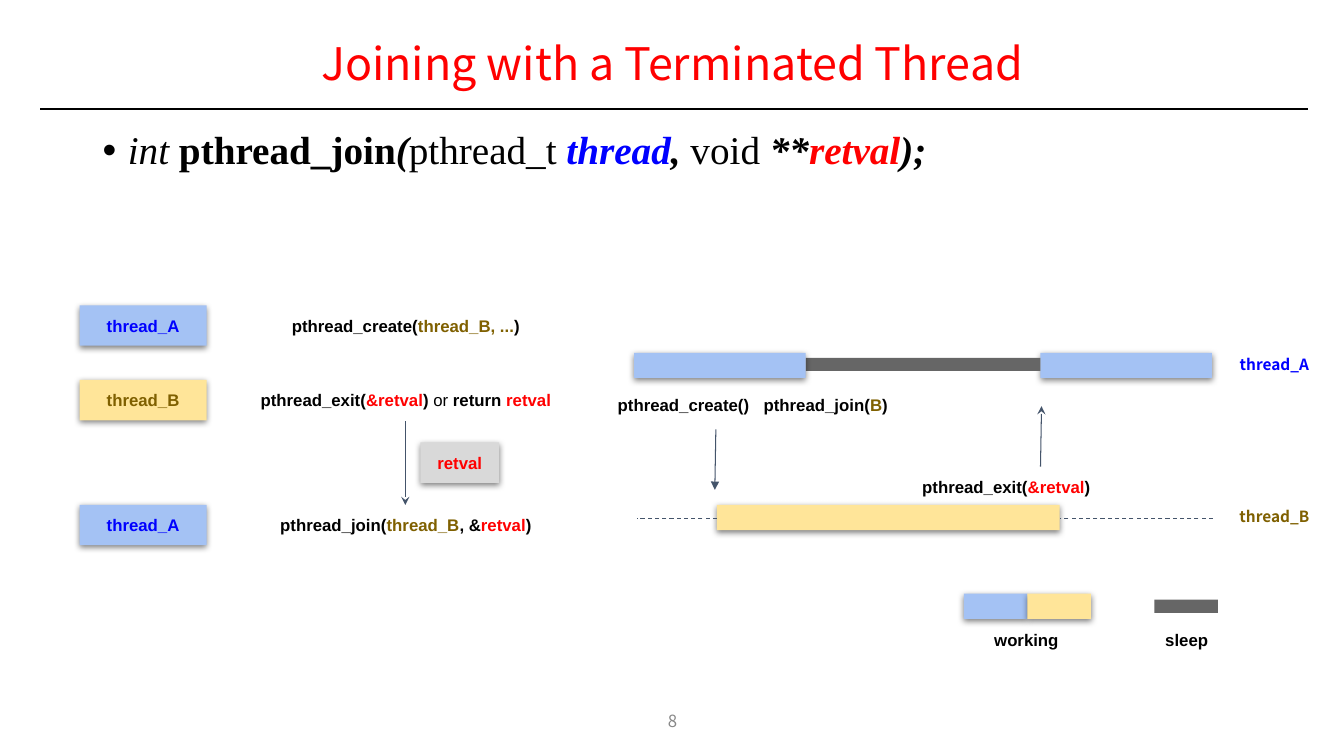
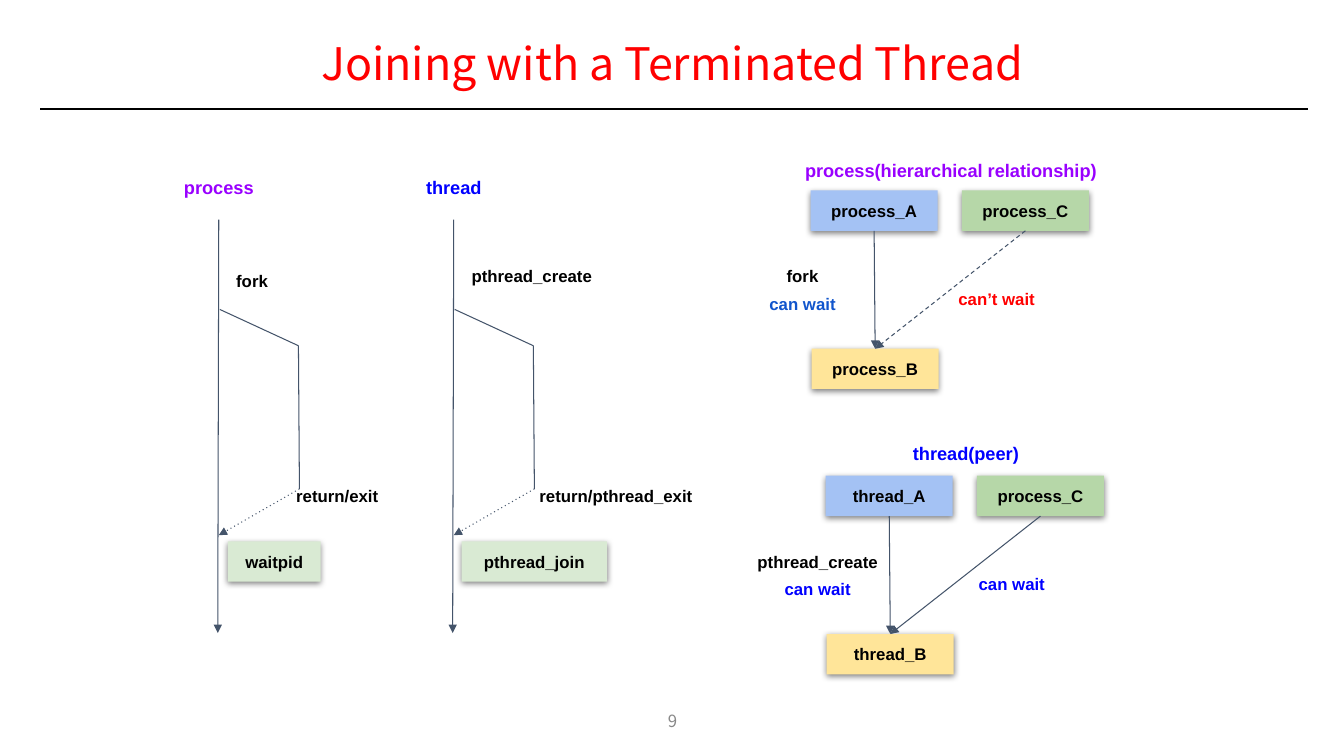
import lxml.etree
import pptx
import pptx.dml.color
import pptx.enum.shapes
import pptx.enum.text
import pptx.oxml.ns
import pptx.util

Inches = pptx.util.Inches
qn = pptx.oxml.ns.qn
Align = pptx.enum.text.PP_ALIGN
Anchor = pptx.enum.text.MSO_ANCHOR

COLOURS = {
    "black": "000000", "red": "FF0000", "blue": "0000FF", "link blue": "1155CC",
    "purple": "9900FF", "olive": "7F6000", "slate": "44546A", "page grey": "888888",
    "light blue": "A4C2F4", "light yellow": "FFE599", "light green": "B6D7A8",
    "pale green": "D9EAD3", "light grey": "D9D9D9", "dark grey": "666666",
}
RGB = {name: pptx.dml.color.RGBColor.from_string(value) for name, value in COLOURS.items()}

# Text styles
LABEL = {"name": "Arial", "size": pptx.util.Pt(12), "bold": True}
HEADING = {**LABEL, "size": pptx.util.Pt(13)}
LANE = {"name": "Noto Sans CJK KR", "size": pptx.util.Pt(11), "bold": True}
TITLE = {"name": "Noto Sans CJK KR", "size": pptx.util.Pt(32)}
PAGE = {"name": "Noto Sans CJK KR", "size": pptx.util.Pt(12)}
BODY = {"name": "Times New Roman", "size": pptx.util.Pt(28)}
PLAIN = {"bold": False}
ITALIC = {"italic": True}
BOLD = {"bold": True}
BOLD_ITALIC = {"bold": True, "italic": True}


def add_box(slide, at, *lines, fill=None, style=LABEL, margin=0.1, anchor=Anchor.TOP, shadow=True):
    """Add a text box, or a filled rectangle; each line lists (text, colour, overrides) runs."""
    place = [Inches(length) for length in at]
    if fill:
        shape = slide.shapes.add_shape(pptx.enum.shapes.MSO_SHAPE.RECTANGLE, *place)
        shape.fill.solid()
        shape.fill.fore_color.rgb = RGB[fill]
        shape.line.fill.background()
        shape.shadow.inherit = False
        if shadow:
            effects = shape.element.spPr.find(qn("a:effectLst"))
            outer = lxml.etree.SubElement(effects, qn("a:outerShdw"), blurRad="57150",
                                          dist="19050", dir="5400000", algn="bl", rotWithShape="0")
            colour = lxml.etree.SubElement(outer, qn("a:srgbClr"), val=COLOURS["black"])
            lxml.etree.SubElement(colour, qn("a:alpha"), val="50000")
    else:
        shape = slide.shapes.add_textbox(*place)
    frame = shape.text_frame
    settings = {"word_wrap": True, "vertical_anchor": anchor,
                "margin_left": Inches(0.1), "margin_right": Inches(0.1),
                "margin_top": Inches(margin), "margin_bottom": Inches(margin)}
    for name, value in settings.items():
        setattr(frame, name, value)
    for index, line in enumerate(lines):
        paragraph = frame.add_paragraph() if index else frame.paragraphs[0]
        paragraph.alignment = Align.CENTER
        if index:
            paragraph.space_before = pptx.util.Pt(5)
        for text, colour, *overrides in line:
            run = paragraph.add_run()
            run.text = text
            run.font.color.rgb = RGB[colour]
            for name, value in {**style, **(overrides[0] if overrides else {})}.items():
                setattr(run.font, name, value)
    return shape


def add_line(slide, start, end, arrow=None, dash=None, colour="slate", width=0.75):
    """Add a straight line, with an optional dash pattern and arrowhead at its end."""
    points = [Inches(length) for length in (*start, *end)]
    connector = slide.shapes.add_connector(pptx.enum.shapes.MSO_CONNECTOR.STRAIGHT, *points)
    connector.line.color.rgb = RGB[colour]
    connector.line.width = pptx.util.Pt(width)
    outline = connector.element.spPr.get_or_add_ln()
    if dash:
        lxml.etree.SubElement(outline, qn("a:prstDash"), val=dash)
    if arrow:
        lxml.etree.SubElement(outline, qn("a:tailEnd"), type=arrow)
    lxml.etree.SubElement(connector.element.spPr, qn("a:effectLst"))


presentation = pptx.Presentation()
presentation.slide_width = Inches(13.33)
presentation.slide_height = Inches(7.5)

# Title, rule and page number on every slide
slides = []
for number in (8, 9):
    slide = presentation.slides.add_slide(presentation.slide_layouts[6])
    title = add_box(slide, (0.92, 0.29, 11.5, 0.73), [("Joining with a Terminated Thread", "red")],
                    style=TITLE, margin=0.05, anchor=Anchor.MIDDLE)
    title.text_frame.paragraphs[0].line_spacing = 0.9
    add_line(slide, (0.4, 1.08), (12.97, 1.08), colour="black", width=1.5)
    add_box(slide, (5.17, 6.95, 3, 0.4), [(str(number), "page grey")],
            style=PAGE, margin=0.05, anchor=Anchor.MIDDLE)
    slides.append(slide)
join_slide, compare_slide = slides

# Join slide: function signature
signature = add_box(join_slide, (0.92, 1.25, 11.5, 0.58), [
    ("int ", "black", ITALIC), ("pthread_join", "black", BOLD), ("(", "black", BOLD_ITALIC),
    ("pthread_t ", "black"), ("thread", "blue", BOLD_ITALIC), (", ", "black", BOLD_ITALIC),
    ("void", "black"), (" **", "black", BOLD_ITALIC), ("retval", "red", BOLD_ITALIC),
    (");", "black", BOLD_ITALIC)], style=BODY, margin=0.05)
paragraph = signature.text_frame.paragraphs[0]
paragraph.alignment = Align.LEFT
paragraph.line_spacing = 0.9
properties = paragraph._p.get_or_add_pPr()
properties.set("marL", str(Inches(0.25)))
properties.set("indent", str(-Inches(0.25)))
bullet_colour = lxml.etree.SubElement(properties, qn("a:buClr"))
lxml.etree.SubElement(bullet_colour, qn("a:srgbClr"), val=COLOURS["black"])
lxml.etree.SubElement(properties, qn("a:buFont"), typeface="Arial")
lxml.etree.SubElement(properties, qn("a:buChar"), char="•")

# Join slide: the call made by each thread
calls = [
    (3.03, "thread_A", "blue", "light blue",
     [("pthread_create(", "black"), ("thread_B, ...", "olive"), (")", "black")]),
    (3.77, "thread_B", "olive", "light yellow",
     [("pthread_exit(", "black"), ("&retval", "red"), (") ", "black"),
      ("or ", "black", PLAIN), ("return ", "black"), ("retval", "red")]),
    (5.01, "thread_A", "blue", "light blue",
     [("pthread_join(", "black"), ("thread_B", "olive"), (", &", "black"),
      ("retval", "red"), (")", "black")]),
]
for top, thread, colour, fill, call in calls:
    add_box(join_slide, (0.79, top, 1.26, 0.4), [(thread, colour)], fill=fill)
    add_box(join_slide, (2.15, top, 3.75, 0.4), call)
add_line(join_slide, (4.02, 4.18), (4.02, 5.01), arrow="stealth")
add_box(join_slide, (4.17, 4.39, 0.78, 0.4), [("retval", "red")], fill="light grey")

# Join slide: timeline bars and legend swatches
bars = [
    (10.32, 3.5, 1.7, "light blue"), (7.99, 3.55, 2.33, "dark grey"),
    (6.29, 3.5, 1.7, "light blue"), (7.11, 5.01, 3.4, "light yellow"),
    (9.56, 5.89, 0.63, "light blue"), (10.19, 5.89, 0.63, "light yellow"),
    (11.45, 5.95, 0.63, "dark grey"),
]
for left, top, width, fill in bars:
    working = fill != "dark grey"
    add_box(join_slide, (left, top, width, 0.25 if working else 0.13), fill=fill, shadow=working)
for start, end in ((7.11, 6.32), (12.03, 10.51)):
    add_line(join_slide, (start, 5.14), (end, 5.14), dash="dash")
add_line(join_slide, (7.1, 4.26), (7.09, 4.86), arrow="triangle")
add_line(join_slide, (10.32, 4.63), (10.33, 4.03), arrow="stealth")

# Join slide: timeline and legend labels
timeline_labels = [
    (5.88, 3.82, 1.8, [("pthread_create()", "black")]),
    (7.29, 3.82, 1.8, [("pthread_join(", "black"), ("B", "olive"), (")", "black")]),
    (9.04, 4.63, 1.88, [("pthread_exit(", "black"), ("&retval", "red"), (")", "black")]),
    (9.72, 6.15, 0.92, [("working", "black")]),
    (11.31, 6.15, 0.92, [("sleep", "black")]),
]
for left, top, width, label in timeline_labels:
    add_box(join_slide, (left, top, width, 0.4), label)
for top, thread, colour in ((3.43, "thread_A", "blue"), (4.94, "thread_B", "olive")):
    add_box(join_slide, (12.18, top, 0.92, 0.39), [(thread, colour)], style=LANE)

# Comparison slide: life lines, with (text, left, top, width) labels
life_lines = [
    (2.17, "process", "purple", ("fork", 2.16, 2.59, 0.68),
     ("return/exit", 2.75, 4.72, 1.19), ("waitpid", 2.26, 5.37, 0.92)),
    (4.5, "thread", "blue", ("pthread_create", 4.49, 2.54, 1.57),
     ("return/pthread_exit", 5.24, 4.72, 1.74), ("pthread_join", 4.58, 5.37, 1.44)),
]
for axis, name, colour, create, leave, wait in life_lines:
    add_box(compare_slide, (axis - 0.56, 1.65, 1.12, 0.42), [(name, colour)], style=HEADING)
    add_line(compare_slide, (axis, 2.18), (axis - 0.01, 6.28), arrow="triangle")
    add_line(compare_slide, (axis + 0.01, 3.07), (axis + 0.79, 3.43))
    add_line(compare_slide, (axis + 0.79, 3.43), (axis + 0.8, 4.85))
    add_line(compare_slide, (axis + 0.8, 4.85), (axis, 5.31), arrow="triangle", dash="dot")
    for (text, left, top, width), fill in ((create, None), (leave, None), (wait, "pale green")):
        add_box(compare_slide, (left, top, width, 0.4), [(text, "black")], fill=fill)

# Comparison slide: who can wait for whom
relations = [
    (8.04, 1.89, 1.48, "process(hierarchical relationship)", "purple", "process",
     "fork", "link blue", "can’t wait", "red", "dash"),
    (8.19, 4.72, 4.29, "thread(peer)", "blue", "thread",
     "pthread_create", "blue", "can wait", "blue", None),
]
for (left, top, heading_top, heading, heading_colour, kind,
     create, wait_colour, other_wait, other_colour, dash) in relations:
    add_box(compare_slide, (left - 0.24, heading_top, 3.26, 0.42),
            [(heading, heading_colour)], style=HEADING)
    nodes = [(0, 0, kind + "_A", "light blue"), (1.5, 0, "process_C", "light green"),
             (0.01, 1.57, kind + "_B", "light yellow")]
    for across, down, name, fill in nodes:
        add_box(compare_slide, (left + across, top + down, 1.26, 0.4), [(name, "black")], fill=fill)
    child = (left + 0.64, top + 1.57)
    add_line(compare_slide, (left + 0.63, top + 0.4), child, arrow="triangle")
    add_line(compare_slide, (left + 2.13, top + 0.4), child, arrow="triangle", dash=dash)
    add_box(compare_slide, (left - 0.8, top + 0.65, 1.44, 0.68),
            [(create, "black")], [("can wait", wait_colour)])
    add_box(compare_slide, (left + 1.19, top + 0.87, 1.31, 0.4), [(other_wait, other_colour)])

presentation.save("out.pptx")
